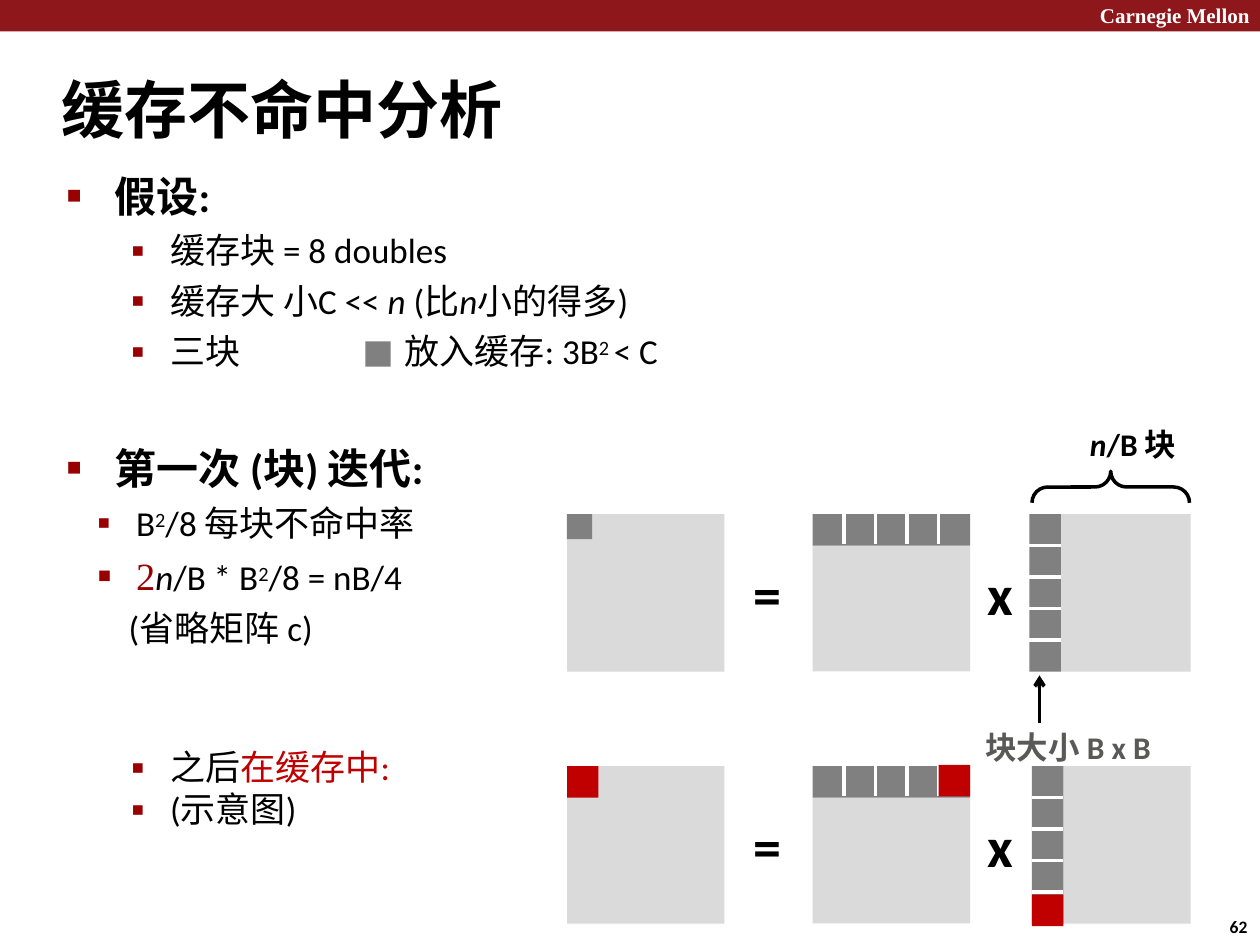
from lxml import etree
from pptx import Presentation
from pptx import util as u
from pptx.dml.color import RGBColor
from pptx.enum import shapes
from pptx.oxml.ns import qn

COLORS = {
    "band": "8D171A", "white": "FFFFFF", "black": "000000", "bullet": "990000",
    "hot": "C00000", "matrix": "DADADA", "block": "808080", "caption": "595958",
}
SQUARE = ("■", 58)
SMALL = ("▪", 110)
SUP = {"sup": True}
ITALIC = {"italic": True}
SIDE = 1.25
CELL = 0.25
CELLS = 5


def rgb(name):
    return RGBColor.from_string(COLORS[name])


def add_element(parent, tag, **attributes):
    return etree.SubElement(parent, qn(tag), attributes)


def rectangle(slide, left, top, width, height, color):
    block = slide.shapes.add_shape(
        shapes.MSO_SHAPE.RECTANGLE, *map(u.Inches, (left, top, width, height)))
    block.shadow.inherit = False
    block.fill.solid()
    block.fill.fore_color.rgb = rgb(color)
    block.line.fill.background()


def line(slide, x1, y1, x2, y2, color, arrow=False):
    connector = slide.shapes.add_connector(
        shapes.MSO_CONNECTOR.STRAIGHT, *map(u.Inches, (x1, y1, x2, y2)))
    connector.line.color.rgb = rgb(color)
    connector.line.width = u.Pt(2)
    if arrow:
        add_element(connector.line._get_or_add_ln(), "a:tailEnd", type="arrow")
    add_element(connector._element.spPr, "a:effectLst")


def format_paragraph(paragraph, indent, bullet, tabs):
    margin, first = indent
    properties = paragraph._p.get_or_add_pPr()
    properties.set("marL", str(u.Inches(margin)))
    properties.set("indent", str(u.Inches(first)))
    if bullet:
        mark, percent = bullet
        color = add_element(properties, "a:buClr")
        add_element(color, "a:srgbClr", val=COLORS["bullet"])
        add_element(properties, "a:buSzPct", val=str(percent * 1000))
        add_element(properties, "a:buFont", typeface="Arial")
        add_element(properties, "a:buChar", char=mark)
    if tabs:
        stops = add_element(properties, "a:tabLst")
        for stop in tabs:
            add_element(stops, "a:tab", pos=str(u.Inches(stop)), algn="l")


def add_run(paragraph, wording, size=None, font=None, color=None, italic=None, sup=False):
    run = paragraph.add_run()
    run.text = wording
    if size:
        run.font.size = u.Pt(size)
    if font:
        run.font.name = font
    if color:
        run.font.color.rgb = rgb(color)
    if italic:
        run.font.italic = True
    if sup:
        run.font._element.set("baseline", "26000")


def write(paragraph, runs, size, bold=False, color="black", font="Calibri",
          indent=(0.01, 0), bullet=None, tabs=(), before=0, spacing=None):
    format_paragraph(paragraph, indent, bullet, tabs)
    if before:
        paragraph.space_before = u.Pt(before)
    if spacing:
        paragraph.line_spacing = u.Pt(spacing)
    paragraph.font.size = u.Pt(size)
    paragraph.font.bold = bold
    paragraph.font.name = font
    paragraph.font.color.rgb = rgb(color)
    for run in runs:
        wording, style = (run, {}) if isinstance(run, str) else run
        add_run(paragraph, wording, **style)


def text_frame(slide, left, top, width, height):
    frame = slide.shapes.add_textbox(
        *map(u.Inches, (left, top, width, height))).text_frame
    frame.word_wrap = True
    frame.margin_left = frame.margin_right = 0
    frame.margin_top = frame.margin_bottom = 0
    return frame


def label(slide, box, *runs, **style):
    write(text_frame(slide, *box).paragraphs[0], runs, **style)


def bullet_list(slide, box, items):
    frame = text_frame(slide, *box)
    for index, (runs, style) in enumerate(items):
        paragraph = frame.add_paragraph() if index else frame.paragraphs[0]
        write(paragraph, runs, **style)


def header(slide, width):
    rectangle(slide, 0, 0, width, 0.25, "band")
    label(slide, (width - 1.28, 0.02, 1.22, 0.22), "Carnegie Mellon",
          size=12, bold=True, color="white", font="Times New Roman")
    label(slide, (0.48, 0.56, 4.16, 0.6), "缓存不命中分析", size=36, bold=True)


def body(slide, left):
    heading = dict(size=24, bold=True, indent=(0.39, -0.38), bullet=SQUARE)
    detail = dict(size=20, indent=(0.83, -0.31), bullet=SMALL, before=4.8)
    step = dict(size=20, indent=(0.33, -0.31), bullet=SMALL)
    bullet_list(slide, (left, 1.35, 5.31, 1.62), [
        (["假设:"], heading),
        (["缓存块 = 8 doubles"], detail),
        (["缓存大 小C << ", ("n ", ITALIC), "(比", ("n", ITALIC), "小的得多)"], detail),
        (["三块\t放入缓存: 3B", ("2 ", SUP), "< C"], {**detail, "tabs": (0.83, 2.69)}),
    ])
    rectangle(slide, left + 2.38, 2.71, 0.2, 0.2, "block")
    bullet_list(slide, (left, 3.51, 4.18, 0.4), [(["第一次 (块) 迭代:"], heading)])
    two = dict(size=22, font="Times New Roman", color="bullet")
    bullet_list(slide, (left + 0.23, 3.98, 3.39, 1.18), [
        (["B", ("2", SUP), "/8 每块不命中率"], step),
        ([("2", two), ("n", ITALIC), "/B * B", ("2", SUP), "/8 = nB/4"],
         {**step, "before": 4.8}),
        (["(省略矩阵 c)"], dict(size=20, indent=(0.27, 0), before=4.8)),
    ])
    hot = {"color": "hot"}
    bullet_list(slide, (left + 0.5, 5.92, 2.59, 0.7), [
        (["之后", ("在缓存中:", hot)], step),
        (["(示意图)"], step),
    ])


def block_product(slide, left, top, column_offset, result_size, cached):
    row_left = left + 1.95
    column_left = left + column_offset
    rectangle(slide, left, top, SIDE, SIDE, "matrix")
    rectangle(slide, left, top, result_size, result_size, "hot" if cached else "block")
    rectangle(slide, row_left, top + CELL, SIDE, SIDE - CELL, "matrix")
    rectangle(slide, row_left, top, SIDE, CELL, "block")
    rectangle(slide, column_left + CELL, top, 4.95 - column_offset - CELL, SIDE, "matrix")
    rectangle(slide, column_left, top, CELL, SIDE, "block")
    for index in range(1, CELLS):
        x = row_left + index * CELL
        y = top + index * CELL
        line(slide, x, top - 0.01, x, top + CELL - 0.01, "white")
        line(slide, column_left, y, column_left + CELL, y, "white")
    if cached:
        last = SIDE - CELL
        rectangle(slide, row_left + last, top - 0.01, CELL, CELL, "hot")
        rectangle(slide, column_left, top + last + 0.02, CELL, CELL, "hot")
    for sign, offset in (("=", 1.47), ("x", 3.33)):
        label(slide, (left + offset, top + 0.36, 0.25, 0.57), sign, size=32, bold=True)


def annotations(slide, left, top):
    brace_width, brace_height = 0.25, SIDE
    shift = (brace_height - brace_width) / 2
    brace = slide.shapes.add_shape(
        shapes.MSO_SHAPE.LEFT_BRACE, u.Inches(left + shift), u.Inches(top + 0.37 - shift),
        u.Inches(brace_width), u.Inches(brace_height))
    brace.rotation = 90
    brace.adjustments[0] = 0.5
    brace.shadow.inherit = False
    brace.fill.background()
    brace.line.color.rgb = rgb("black")
    brace.line.width = u.Pt(2)
    label(slide, (left + 0.45, top, 1.12, 0.3), ("n", ITALIC), "/B 块", size=18, bold=True)
    line(slide, left + 0.06, top + 2.37, left + 0.06, top + 1.99, "black", arrow=True)
    label(slide, (left - 0.38, top + 2.41, 1.59, 0.3), "块大小 B x B",
          size=18, bold=True, color="caption")


def main():
    deck = Presentation()
    deck.slide_width, deck.slide_height = u.Inches(10), u.Inches(7.5)
    slide = deck.slides.add_slide(deck.slide_layouts[6])
    header(slide, 10)
    body(slide, 0.52)
    block_product(slide, 4.5, 4.08, 3.67, 0.2, cached=False)
    block_product(slide, 4.5, 6.08, 3.69, CELL, cached=True)
    annotations(slide, 8.19, 3.37)
    label(slide, (9.73, 7.29, 0.2, 0.17), "62", size=10, bold=True,
          indent=(0.03, 0), spacing=10.4)
    deck.save("out.pptx")


if __name__ == "__main__":
    main()
